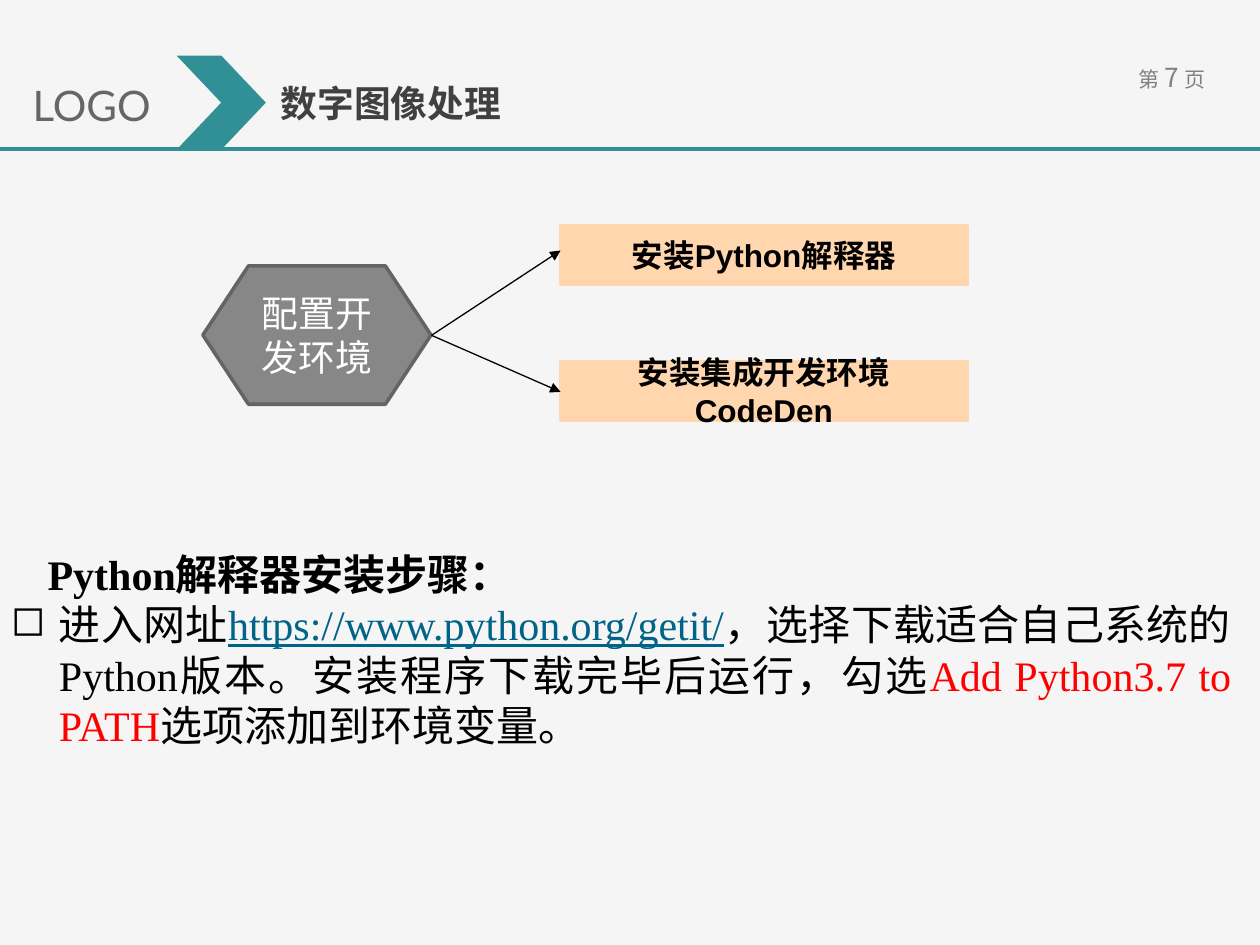
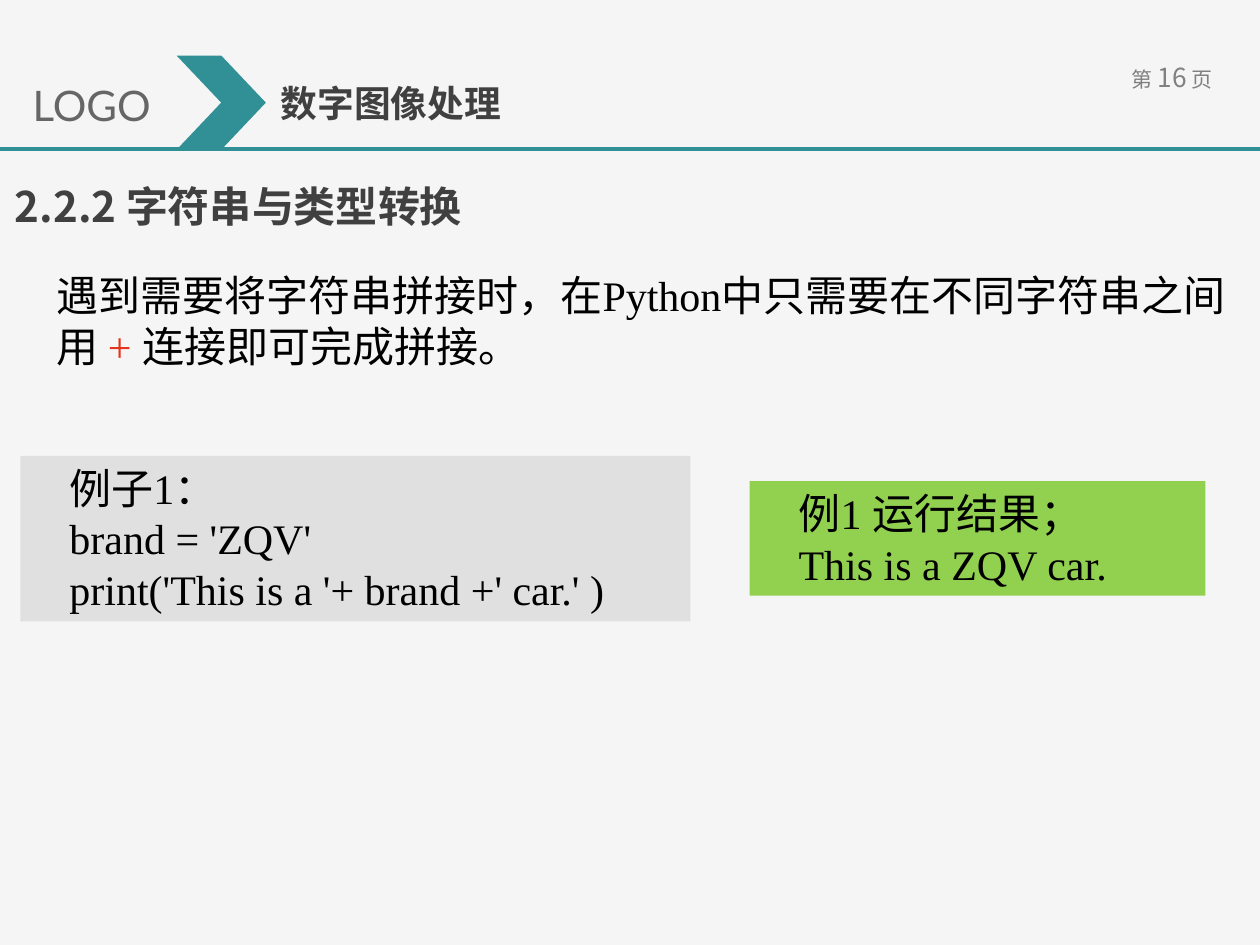
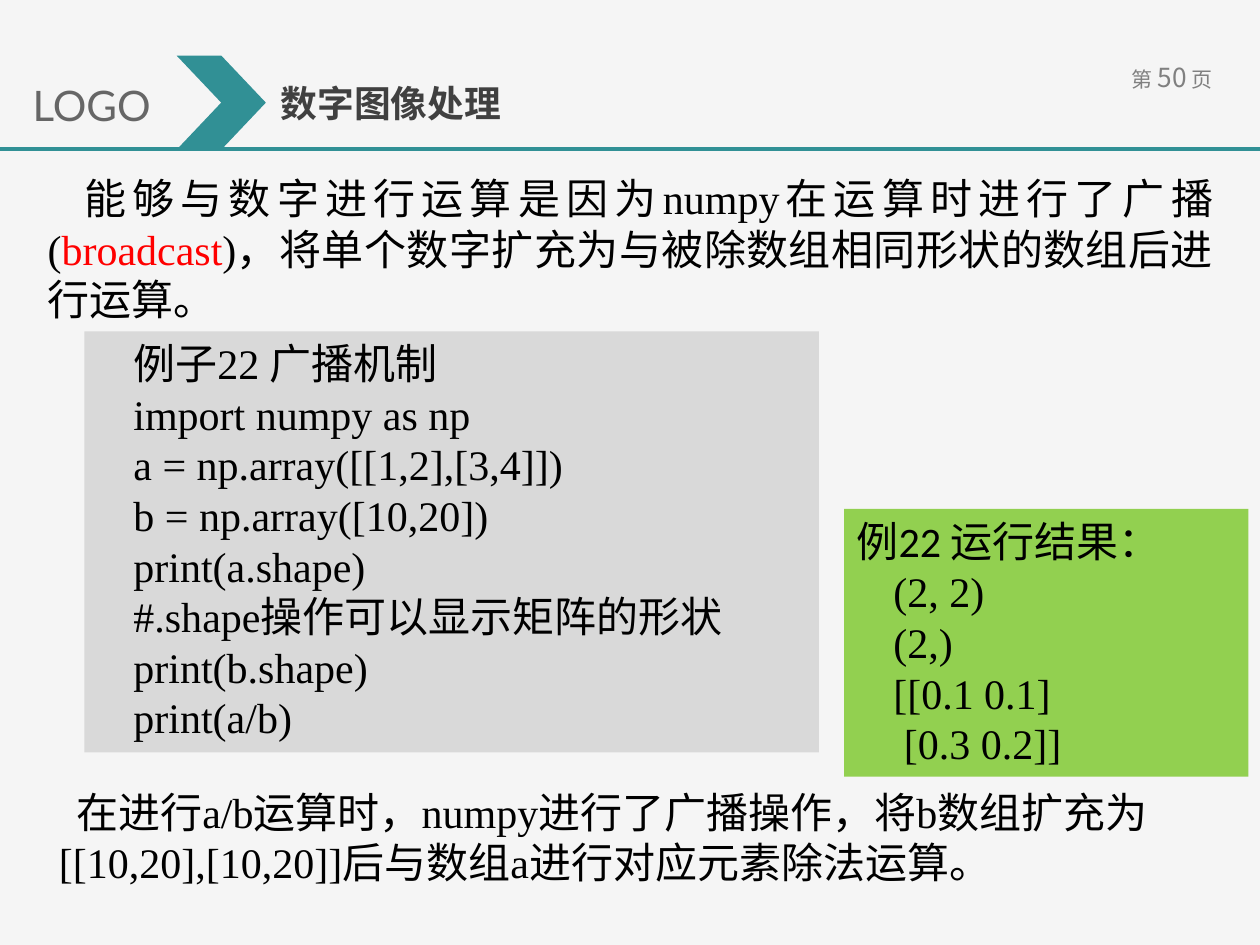
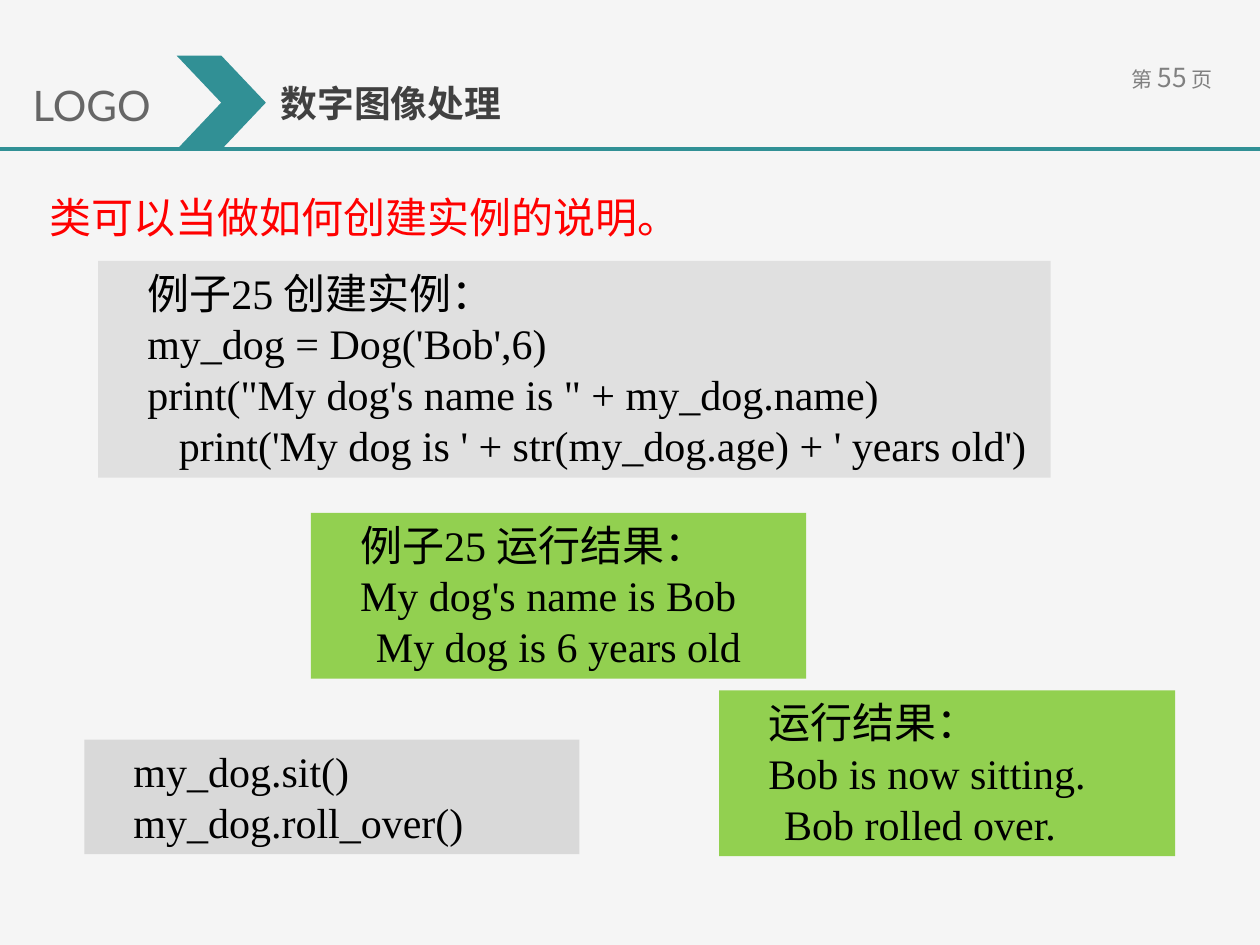
"""Build four lecture pages on Python basics for image processing."""
from dataclasses import dataclass

from lxml import etree
from pptx import Presentation
from pptx.dml.color import RGBColor
from pptx.enum.shapes import MSO_CONNECTOR, MSO_SHAPE
from pptx.enum.text import MSO_ANCHOR, PP_ALIGN
from pptx.oxml.ns import qn
from pptx.util import Cm, Pt

STRAIGHT = MSO_CONNECTOR.STRAIGHT
RECTANGLE = MSO_SHAPE.RECTANGLE
CHEVRON = MSO_SHAPE.CHEVRON
PREPARATION = MSO_SHAPE.FLOWCHART_PREPARATION
TOP, MIDDLE = MSO_ANCHOR.TOP, MSO_ANCHOR.MIDDLE
LEFT, CENTER, JUSTIFY = PP_ALIGN.LEFT, PP_ALIGN.CENTER, PP_ALIGN.JUSTIFY


@dataclass(frozen=True)
class Theme:
    """Colours, fonts, type sizes and text measures of the deck."""
    paper: str = "F5F5F5"
    teal: str = "319095"
    title: str = "404040"
    logo: str = "666666"
    number: str = "808080"
    ink: str = "000000"
    white: str = "FFFFFF"
    red: str = "FF0000"
    plus: str = "E7311A"
    link: str = "006387"
    hexagon: str = "878787"
    hexagon_edge: str = "646464"
    peach: str = "FFD6AD"
    code: str = "E0E0E0"
    code_dark: str = "D9D9D9"
    result: str = "92D050"
    cjk: str = "Noto Sans CJK SC"
    serif: str = "Times New Roman"
    sans: str = "Arial"
    plain: str = "Calibri"
    logo_font: str = "Lato"
    body_size: float = 24
    title_size: float = 21
    label_size: float = 18
    page_size: float = 15
    gap_size: float = 13.5
    page_word_size: float = 12
    body_leading: float = 28.9
    line_height: float = 1.03
    panel_padding: float = 0.25
    first_line: float = 0.74
    hanging: float = 0.97


THEME = Theme()


@dataclass(frozen=True)
class Span:
    """A stretch of text in one style."""
    text: str
    color: str = THEME.ink
    size: float = THEME.body_size
    font: str = THEME.serif
    bold: bool = False
    underline: bool = False


@dataclass(frozen=True)
class Para:
    """A paragraph of spans with its layout."""
    spans: tuple
    align: PP_ALIGN = LEFT
    indent: float = 0
    margin: float = 0
    bullet: str = ""
    leading: float = 0


def rgb(color):
    """Turn a hex string into a colour."""
    return RGBColor.from_string(color)


def body(*spans, **layout):
    """Make a body paragraph from spans or plain strings."""
    styled = tuple(Span(item) if isinstance(item, str) else item for item in spans)
    return Para(styled, leading=THEME.body_leading, **layout)


def add_span(para, span):
    """Add one styled run."""
    run = para.add_run()
    run.text = span.text
    font = run.font
    font.size, font.bold, font.underline = Pt(span.size), span.bold, span.underline
    font.color.rgb = rgb(span.color)
    font.name = span.font
    etree.SubElement(run.font._element, qn("a:ea")).set("typeface", THEME.cjk)


def write(shape, paras, anchor=TOP):
    """Fill a shape with paragraphs."""
    frame = shape.text_frame
    frame.word_wrap = True
    frame.vertical_anchor = anchor
    for index, item in enumerate(paras):
        para = frame.add_paragraph() if index else frame.paragraphs[0]
        para.alignment = item.align
        if item.leading:
            para.line_spacing = Pt(item.leading)
        properties = para._p.get_or_add_pPr()
        properties.set("marL", str(Cm(item.margin)))
        properties.set("indent", str(Cm(item.indent)))
        if item.bullet:
            etree.SubElement(properties, qn("a:buChar")).set("char", item.bullet)
        for span in item.spans:
            add_span(para, span)


def add_text(page, left, top, width, height, *paras):
    """Add a text box."""
    box = page.shapes.add_textbox(Cm(left), Cm(top), Cm(width), Cm(height))
    write(box, paras)


def add_block(page, kind, left, top, width, height, fill, edge=None):
    """Add a flat preset shape."""
    block = page.shapes.add_shape(kind, Cm(left), Cm(top), Cm(width), Cm(height))
    block.shadow.inherit = False
    block.fill.solid()
    block.fill.fore_color.rgb = rgb(fill)
    if edge:
        block.line.color.rgb = rgb(edge)
        block.line.width = Pt(2)
    else:
        block.line.fill.background()
    return block


def add_panel(page, left, top, width, fill, *lines):
    """Add a code or result panel as tall as its lines."""
    height = THEME.panel_padding + THEME.line_height * len(lines)
    panel = add_block(page, RECTANGLE, left, top, width, height, fill)
    write(panel, [body(line, indent=THEME.first_line) if isinstance(line, str) else line
                  for line in lines])


def add_line(page, start, end, color, width, arrow=False):
    """Add a straight line, with an arrowhead if asked."""
    line = page.shapes.add_connector(STRAIGHT, *(Cm(value) for value in start + end))
    line.line.color.rgb = rgb(color)
    line.line.width = Pt(width)
    if arrow:
        head = etree.SubElement(line.line._get_or_add_ln(), qn("a:tailEnd"))
        head.set("type", "triangle")
    etree.SubElement(line._element.spPr, qn("a:effectLst"))


def add_page(deck, number):
    """Add a page with the shared header."""
    page = deck.slides.add_slide(deck.slide_layouts[6])
    pieces = (("第", THEME.page_word_size), (" ", THEME.gap_size),
              (str(number), THEME.page_size), (" ", THEME.gap_size),
              ("页", THEME.page_word_size))
    spans = tuple(Span(text, THEME.number, size, THEME.cjk) for text, size in pieces)
    add_text(page, 22.45, 1.12, 2.36, 0.89, Para(spans, CENTER))
    add_line(page, (0, 3), (25.4, 3), THEME.teal, 2.25)
    title = Span("数字图像处理", THEME.title, THEME.title_size, THEME.cjk, bold=True)
    add_text(page, 5.41, 1.5, 15.32, 1.14, Para((title,)))
    add_block(page, CHEVRON, 3.56, 1.12, 1.8, 1.9, THEME.teal)
    logo = Span("LOGO", THEME.logo, font=THEME.logo_font)
    add_text(page, 0.41, 1.47, 3.18, 1.3, Para((logo,)))
    return page


def build_setup(deck):
    """Show how to set up the development environment."""
    page = add_page(deck, 7)
    hexagon = add_block(page, PREPARATION, 4.09, 5.36, 4.6, 2.79,
                        THEME.hexagon, THEME.hexagon_edge)
    goal = Span("配置开发环境", THEME.white, THEME.title_size, THEME.plain)
    write(hexagon, [Para((goal,), CENTER)], MIDDLE)
    tasks = (("安装Python解释器", 4.55, 5.05), ("安装集成开发环境CodeDen", 7.29, 7.9))
    for name, top, arrow_end in tasks:
        task = add_block(page, RECTANGLE, 11.3, top, 8.2, 1.19, THEME.peach, THEME.peach)
        label = Span(name, size=THEME.label_size, font=THEME.sans, bold=True)
        write(task, [Para((label,), CENTER)], MIDDLE)
        add_line(page, (8.7, 6.76), (11.3, arrow_end), THEME.ink, 0.75, arrow=True)
    add_text(
        page, -0.03, 10.92, 25.1, 6.27,
        body(Span("Python解释器安装步骤：", bold=True), align=JUSTIFY,
             indent=THEME.first_line),
        body("进入网址",
             Span("https://www.python.org/getit/", THEME.link, underline=True),
             "，选择下载适合自己系统的Python版本。安装程序下载完毕后运行，勾选",
             Span("Add Python3.7 to PATH", THEME.red),
             "选项添加到环境变量。",
             align=JUSTIFY, margin=THEME.hanging, indent=-THEME.hanging, bullet="◻"))


def build_strings(deck):
    """Show string concatenation."""
    page = add_page(deck, 16)
    add_text(page, 0.89, 5.31, 24.51, 2.31,
             body("遇到需要将字符串拼接时，在Python中只需要在不同字符串之间用 ",
                  Span("+ ", THEME.plus), "连接即可完成拼接。"))
    add_panel(page, 0.41, 9.19, 13.51, THEME.code,
              "例子1：", "brand = 'ZQV'", "print('This is a '+ brand +' car.' )")
    add_panel(page, 15.11, 9.7, 9.19, THEME.result,
              "例1 运行结果；", "This is a ZQV car.")
    section = Span("2.2.2 字符串与类型转换", THEME.title, font=THEME.cjk, bold=True)
    add_text(page, 0.05, 3.51, 12.75, 1.27, Para((section,)))


def build_broadcast(deck):
    """Show array broadcasting."""
    page = add_page(deck, 50)
    add_text(page, 0.71, 3.35, 24, 3.33,
             body("能够与数字进行运算是因为numpy在运算时进行了广播(",
                  Span("broadcast", THEME.red),
                  ")，将单个数字扩充为与被除数组相同形状的数组后进行运算。",
                  align=JUSTIFY, indent=THEME.first_line))
    add_panel(page, 1.7, 6.68, 14.81, THEME.code_dark,
              "例子22 广播机制", "import numpy as np", "a = np.array([[1,2],[3,4]])",
              "b = np.array([10,20])", "print(a.shape)", "#.shape操作可以显示矩阵的形状",
              "print(b.shape)", "print(a/b)")
    add_panel(page, 17.02, 10.26, 8.15, THEME.result,
              body(Span("例22 运行结果：", font=THEME.plain)),
              "(2, 2)", "(2,)", "[[0.1 0.1]", " [0.3 0.2]]")
    add_text(page, 0.94, 15.72, 24.21, 2.31,
             body("在进行a/b运算时，numpy进行了广播操作，将b数组扩充为"
                  "[[10,20],[10,20]]后与数组a进行对应元素除法运算。", indent=0.35))


def build_instances(deck):
    """Show how a class makes instances."""
    page = add_page(deck, 55)
    add_text(page, 0, 3.73, 24.71, 2.31,
             body(Span("类可以当做如何创建实例的说明。", THEME.red),
                  align=JUSTIFY, indent=THEME.first_line))
    add_panel(page, 1.98, 5.26, 19.2, THEME.code,
              "例子25 创建实例：", "my_dog = Dog('Bob',6)",
              "print(\"My dog's name is \" + my_dog.name)",
              "   print('My dog is ' + str(my_dog.age) + ' years old')")
    add_panel(page, 6.27, 10.34, 9.98, THEME.result,
              "例子25 运行结果：", "My dog's name is Bob",
              body("My dog is 6 years old", indent=1.06))
    add_panel(page, 1.7, 14.91, 9.98, THEME.code_dark,
              "my_dog.sit()", "my_dog.roll_over()")
    add_panel(page, 14.5, 13.92, 9.19, THEME.result,
              "运行结果：", "Bob is now sitting.",
              body("Bob rolled over.", indent=1.06))


def main():
    """Build and save the deck."""
    deck = Presentation()
    deck.slide_width, deck.slide_height = Cm(25.4), Cm(19.05)
    paper = deck.slide_master.background.fill
    paper.solid()
    paper.fore_color.rgb = rgb(THEME.paper)
    for build in (build_setup, build_strings, build_broadcast, build_instances):
        build(deck)
    deck.save("out.pptx")


if __name__ == "__main__":
    main()
